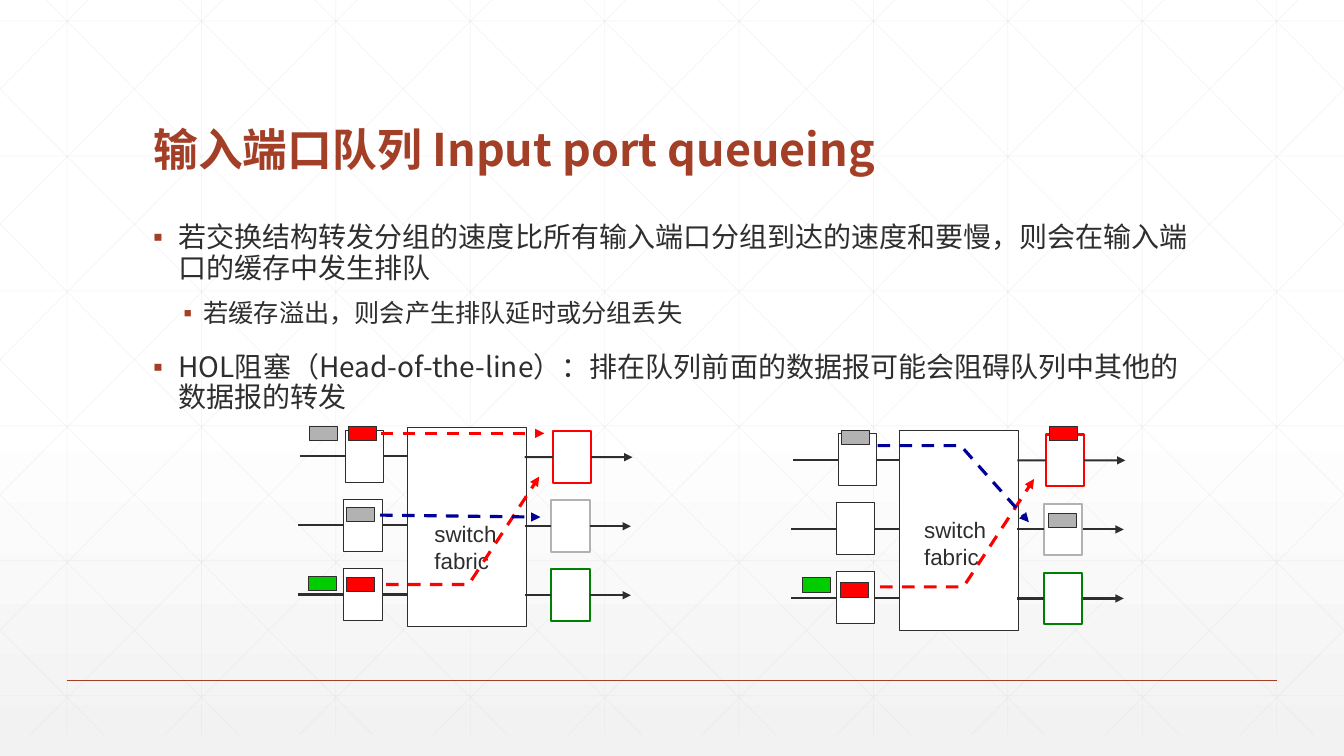
from lxml import etree
from pptx import Presentation
from pptx.dml.color import RGBColor
from pptx.enum.dml import MSO_LINE
from pptx.enum.shapes import MSO_CONNECTOR, MSO_SHAPE
from pptx.enum.text import MSO_ANCHOR, MSO_AUTO_SIZE, PP_ALIGN
from pptx.oxml.ns import qn
from pptx.util import Cm, Pt

RECT, STRAIGHT = MSO_SHAPE.RECTANGLE, MSO_CONNECTOR.STRAIGHT
DASH, BOTTOM, LEFT = MSO_LINE.DASH, MSO_ANCHOR.BOTTOM, PP_ALIGN.LEFT
FIXED = MSO_AUTO_SIZE.NONE
COLORS = {"white": "FFFFFF", "shade": "F2F2F2", "grid": "D9D9D9", "rust": "A43F27",
          "ink": "2D2E2D", "red": "FF0000", "gray": "B2B2B2", "green": "008000",
          "lime": "00CC00", "blue": "000099"}
CJK = "Noto Sans CJK SC"
W, H = 33.87, 19.05
LEFT_SIDE, RIGHT_SIDE = 1, 3

# Each diagram: origin, label offset, packets (x, y, colour), routes (colour, points)
DIAGRAMS = [
    {"box": (7.52, 10.77), "label": (3.18, 2.21),
     "packets": [(1.27, -0.02, "red"), (1.22, 2.01, "gray"), (1.22, 3.78, "red"),
                 (0.28, -0.02, "gray"), (0.25, 3.76, "lime")],
     "routes": [("red", [(2.08, 0.15), (6.2, 0.15)]),
                ("red", [(2.21, 3.96), (4.29, 3.96), (6.07, 1.24)]),
                ("blue", [(2.06, 2.21), (6.1, 2.26)])]},
    {"box": (19.94, 10.85), "label": (3.1, 2.03),
     "packets": [(6.5, -0.1, "red"), (1.27, 0, "gray"), (1.24, 3.84, "red"),
                 (0.28, 3.71, "lime"), (6.48, 2.08, "gray")],
     "routes": [("red", [(2.24, 3.94), (4.34, 3.94), (6.12, 1.22)]),
                ("blue", [(2.18, 0.38), (4.27, 0.38), (5.99, 2.31)])]},
]
BULLETS = [
    (0, "若交换结构转发分组的速度比所有输入端口分组到达的速度和要慢，则会在输入端口的缓存中发生排队"),
    (1, "若缓存溢出，则会产生排队延时或分组丢失"),
    (0, "HOL阻塞（Head-of-the-line）：排在队列前面的数据报可能会阻碍队列中其他的数据报的转发"),
]
# Per level: left margin and hanging indent in cm, size and space before in points
LEVELS = [(0.64, 0.64, 20, 18), (1.27, 0.51, 18, 12)]


def rgb(name):
    return RGBColor.from_string(COLORS[name])


def style_line(shape, color, width, dash=None, arrow=False):
    shape.line.color.rgb = rgb(color)
    shape.line.width = Pt(width)
    if dash:
        shape.line.dash_style = dash
    if arrow:
        ln = shape.line._get_or_add_ln()
        etree.SubElement(ln, qn("a:tailEnd"), type="triangle")


def add_line(s, x1, y1, x2, y2, color="ink", width=1.5, **look):
    line = s.shapes.add_connector(STRAIGHT, Cm(x1), Cm(y1), Cm(x2), Cm(y2))
    style_line(line, color, width, **look)
    etree.SubElement(line._element.spPr, qn("a:effectLst"))
    return line


def add_rect(s, x, y, w, h, fill="white", line="ink", width=0.75):
    rect = s.shapes.add_shape(RECT, Cm(x), Cm(y), Cm(w), Cm(h))
    rect.shadow.inherit = False
    rect.fill.solid()
    rect.fill.fore_color.rgb = rgb(fill)
    style_line(rect, line, width)
    return rect


def format_run(r, **values):
    values = {"name": CJK, "bold": False, **values}
    r.font.color.rgb = rgb(values.pop("color", "ink"))
    for key, value in values.items():
        setattr(r.font, key, value)
    etree.SubElement(r._r.get_or_add_rPr(), qn("a:ea"), typeface=values["name"])


def add_backdrop(s):
    fill = s.background.fill
    fill.gradient()
    fill.gradient_angle = 270
    for stop, (position, color) in zip(fill.gradient_stops, [(0.53, "white"), (1, "shade")]):
        stop.position = position
        stop.color.rgb = rgb(color)
    # Faint lattice: verticals, horizontals and mirrored diagonals
    step, base = W / 10, 18.52
    lattice = [(1.69 + step * i, 0, 1.69 + step * i, base) for i in range(10)]
    lattice += [(0, 0.53 + 3.4 * i, W, 0.53 + 3.4 * i) for i in range(6)]
    for i in range(-5, 10):
        top_x = 1.16 + step * i
        x1, x2 = max(top_x, 0), min(top_x + 18.4, W)
        y1, y2 = ((x - top_x) * base / 18.4 for x in (x1, x2))
        lattice += [(x1, y1, x2, y2), (W - x1, y1, W - x2, y2)]
    for ends in lattice:
        line = add_line(s, *ends, color="grid", width=0.5)
        clr = line._element.spPr.find(".//" + qn("a:srgbClr"))
        etree.SubElement(clr, qn("a:alpha"), val="25000")
    add_line(s, 1.69, 17.15, 32.17, 17.15, color="rust", width=1)


def add_title(s, x, y, w, h):
    title = s.shapes.title
    # Bring the title in front of the lattice
    s.shapes._spTree.append(title._element)
    title.left, title.top, title.width, title.height = Cm(x), Cm(y), Cm(w), Cm(h)
    tf = title.text_frame
    tf.vertical_anchor, tf.auto_size = BOTTOM, FIXED
    p = tf.paragraphs[0]
    p.alignment, p.line_spacing = LEFT, 0.9
    r = p.add_run()
    r.text = "输入端口队列 Input port queueing"
    format_run(r, size=Pt(32), bold=True, color="rust")


def add_bullets(s, x, y, w, h):
    tf = s.shapes.add_textbox(Cm(x), Cm(y), Cm(w), Cm(h)).text_frame
    tf.word_wrap = True
    for i, (level, text) in enumerate(BULLETS):
        p = tf.add_paragraph() if i else tf.paragraphs[0]
        margin, hanging, size, before = LEVELS[level]
        p.level, p.line_spacing = level, 0.9
        if i:
            p.space_before = Pt(before)
        pPr = p._p.get_or_add_pPr()
        pPr.set("marL", str(Cm(margin)))
        pPr.set("indent", str(-Cm(hanging)))
        clr = etree.SubElement(pPr, qn("a:buClr"))
        etree.SubElement(clr, qn("a:srgbClr"), val=COLORS["rust"])
        etree.SubElement(pPr, qn("a:buFont"), typeface="Arial")
        etree.SubElement(pPr, qn("a:buChar"), char="▪")
        r = p.add_run()
        r.text = text
        format_run(r, size=Pt(size))


def add_switch(s, box, label, packets, routes):
    x, y = box
    port_w, port_h, pitch = 0.97, 1.3, 1.74
    add_rect(s, x + 2.74, y, 3, 5.03)
    # Three rows of input port, output port and links
    for row, color in enumerate(["red", "gray", "green"]):
        shift = 0 if row else 0.04
        left, top = x + shift, y + 0.08 + pitch * row
        mid = top + port_h / 2
        port_in = add_rect(s, left + 1.14, top, port_w, port_h)
        port_out = add_rect(s, left + 6.37, top + 0.02, port_w, port_h, line=color, width=1.5)
        add_line(s, left, mid, left + 1.14, mid).end_connect(port_in, LEFT_SIDE)
        add_line(s, left + 2.11, mid, x + 2.74, mid).begin_connect(port_in, RIGHT_SIDE)
        mid += 0.02
        add_line(s, x + 5.7, mid, left + 6.37, mid).end_connect(port_out, LEFT_SIDE)
        exit_link = add_line(s, left + 7.34, mid, left + 8.38, mid, arrow=True)
        exit_link.begin_connect(port_out, RIGHT_SIDE)
    # Label
    tf = s.shapes.add_textbox(Cm(x + label[0]), Cm(y + label[1]), Cm(2.08), Cm(1.63)).text_frame
    tf.word_wrap = False
    for i, word in enumerate(["switch", "fabric"]):
        p = tf.add_paragraph() if i else tf.paragraphs[0]
        r = p.add_run()
        r.text = word
        format_run(r, size=Pt(16), name="Arial")
    # Packets
    for px, py, color in packets:
        add_rect(s, x + px, y + py, 0.71, 0.36, fill=color)
    # Dashed routes
    for color, points in routes:
        points = [(x + px, y + py) for px, py in points]
        look = {"color": color, "width": 2.25, "dash": DASH, "arrow": True}
        if len(points) == 2:
            add_line(s, *points[0], *points[1], **look)
            continue
        start, *rest = [(Cm(px), Cm(py)) for px, py in points]
        builder = s.shapes.build_freeform(*start)
        builder.add_line_segments(rest, close=False)
        route = builder.convert_to_shape()
        route.shadow.inherit = False
        route.fill.background()
        style_line(route, **look)


def main():
    prs = Presentation()
    prs.slide_width, prs.slide_height = Cm(W), Cm(H)
    s = prs.slides.add_slide(prs.slide_layouts[5])
    add_backdrop(s)
    add_title(s, 3.61, 1.4, 26.67, 3.18)
    add_bullets(s, 3.61, 5.51, 26.67, 10.59)
    for diagram in DIAGRAMS:
        add_switch(s, **diagram)
    prs.save("out.pptx")


if __name__ == "__main__":
    main()
